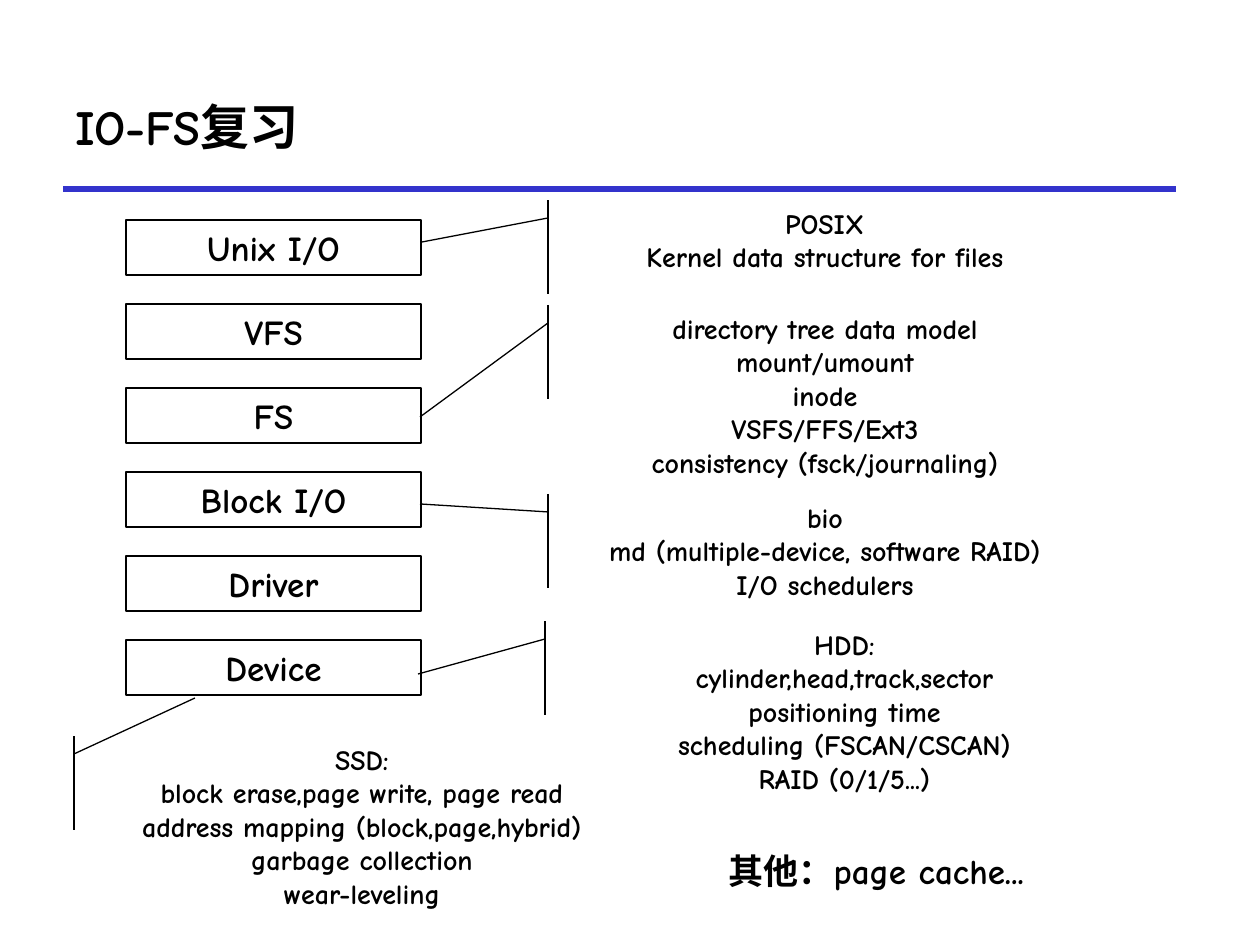
from lxml import etree
from pptx import Presentation
from pptx.dml.color import RGBColor
from pptx.enum.shapes import MSO_CONNECTOR, MSO_SHAPE
from pptx.enum.text import MSO_ANCHOR, MSO_AUTO_SIZE, PP_ALIGN
from pptx.oxml.ns import qn
from pptx.util import Emu, Pt

RECTANGLE = MSO_SHAPE.RECTANGLE
ACCENT_CALLOUT = MSO_SHAPE.LINE_CALLOUT_1_ACCENT_BAR
STRAIGHT = MSO_CONNECTOR.STRAIGHT
LEFT, CENTER = PP_ALIGN.LEFT, PP_ALIGN.CENTER
TOP, MIDDLE = MSO_ANCHOR.TOP, MSO_ANCHOR.MIDDLE
NO_FIT, GROW = MSO_AUTO_SIZE.NONE, MSO_AUTO_SIZE.SHAPE_TO_FIT_TEXT

PX_PER_INCH = 126
FONT = "Comic Neue"
COLORS = {"ink": "000000", "paper": "FFFFFF", "rule": "3333CC"}


def px(length):
    return Emu(round(length * 914400 / PX_PER_INCH))


def color(name):
    return RGBColor.from_string(COLORS[name])


class SlideBuilder:
    def __init__(self, slide):
        self.slide = slide

    def add_lines(self, frame, lines, size, align=LEFT, anchor=TOP, wrap=True):
        frame.word_wrap = wrap
        frame.vertical_anchor = anchor
        for index, line in enumerate(lines):
            paragraph = frame.paragraphs[0] if index == 0 else frame.add_paragraph()
            paragraph.alignment = align
            run = paragraph.add_run()
            run.text = line
            run.font.name = FONT
            run.font.size = Pt(size)
            run.font.bold = True
            run.font.color.rgb = color("ink")

    def title(self, text, left, top, width, height):
        title = self.slide.shapes.title
        title.left, title.top = px(left), px(top)
        title.width, title.height = px(width), px(height)
        title.text_frame.auto_size = NO_FIT
        self.add_lines(title.text_frame, [text], 28, anchor=MIDDLE)

    def rule(self, left, right, y):
        rule = self.slide.shapes.add_connector(STRAIGHT, px(left), px(y), px(right), px(y))
        rule.line.color.rgb = color("rule")
        rule.line.width = Pt(3)
        etree.SubElement(rule._element.spPr, qn("a:effectLst"))

    def box(self, kind, lines, size, left, top, width, height):
        box = self.slide.shapes.add_shape(kind, px(left), px(top), px(width), px(height))
        box.shadow.inherit = False
        box.fill.solid()
        box.fill.fore_color.rgb = color("paper")
        box.line.color.rgb = color("ink")
        box.line.width = Pt(0.75)
        self.add_lines(box.text_frame, lines, size, align=CENTER, wrap=False)
        return box

    def callout(self, lines, left, top, width, bar_x, tip_x, tip_y):
        """Place notes beside an accent bar whose leader ends at the tip."""
        height, leader_drop = 94, 18
        callout = self.box(ACCENT_CALLOUT, lines, 16, left, top, width, height)
        adjustments = (
            leader_drop / height,
            (bar_x - left) / width,
            (tip_y - top) / height,
            (tip_x - left) / width,
        )
        for index, value in enumerate(adjustments):
            callout.adjustments[index] = value

    def note(self, text, left, top, width, height):
        note = self.slide.shapes.add_textbox(px(left), px(top), px(width), px(height))
        note.text_frame.auto_size = GROW
        self.add_lines(note.text_frame, [text], 20)


LAYERS = ["Unix I/O", "VFS", "FS", "Block I/O", "Driver", "Device"]

# lines, left, top, width, bar x, tip x, tip y
CALLOUTS = [
    (["POSIX", "Kernel data structure for files"], 588, 200, 474, 548, 422, 242),
    (["directory tree data model", "mount/umount", "inode", "VSFS/FFS/Ext3",
      "consistency (fsck/journaling)"], 588, 305, 474, 548, 420, 417),
    (["bio", "md (multiple-device, software RAID)", "I/O schedulers"],
     588, 494, 474, 548, 420, 504),
    (["HDD:", "cylinder,head,track,sector", "positioning time",
      "scheduling (FSCAN/CSCAN)", "RAID (0/1/5...)"], 588, 621, 513, 545, 418, 674),
    (["SSD:", "block erase,page write, page read",
      "address mapping (block,page,hybrid)", "garbage collection", "wear-leveling"],
     116, 736, 492, 74, 195, 698),
]


def main():
    deck = Presentation()
    deck.slide_width, deck.slide_height = px(1260), px(945)
    builder = SlideBuilder(deck.slides.add_slide(deck.slide_layouts[5]))

    builder.rule(63, 1176, 189)
    builder.title("IO-FS复习", 63, 63, 1113, 126)
    for level, layer in enumerate(LAYERS):
        builder.box(RECTANGLE, [layer], 20, 126, 220 + 84 * level, 295, 55)
    for callout in CALLOUTS:
        builder.callout(*callout)
    builder.note("其他：page cache...", 716, 843, 471, 55)

    deck.save("out.pptx")


if __name__ == "__main__":
    main()
